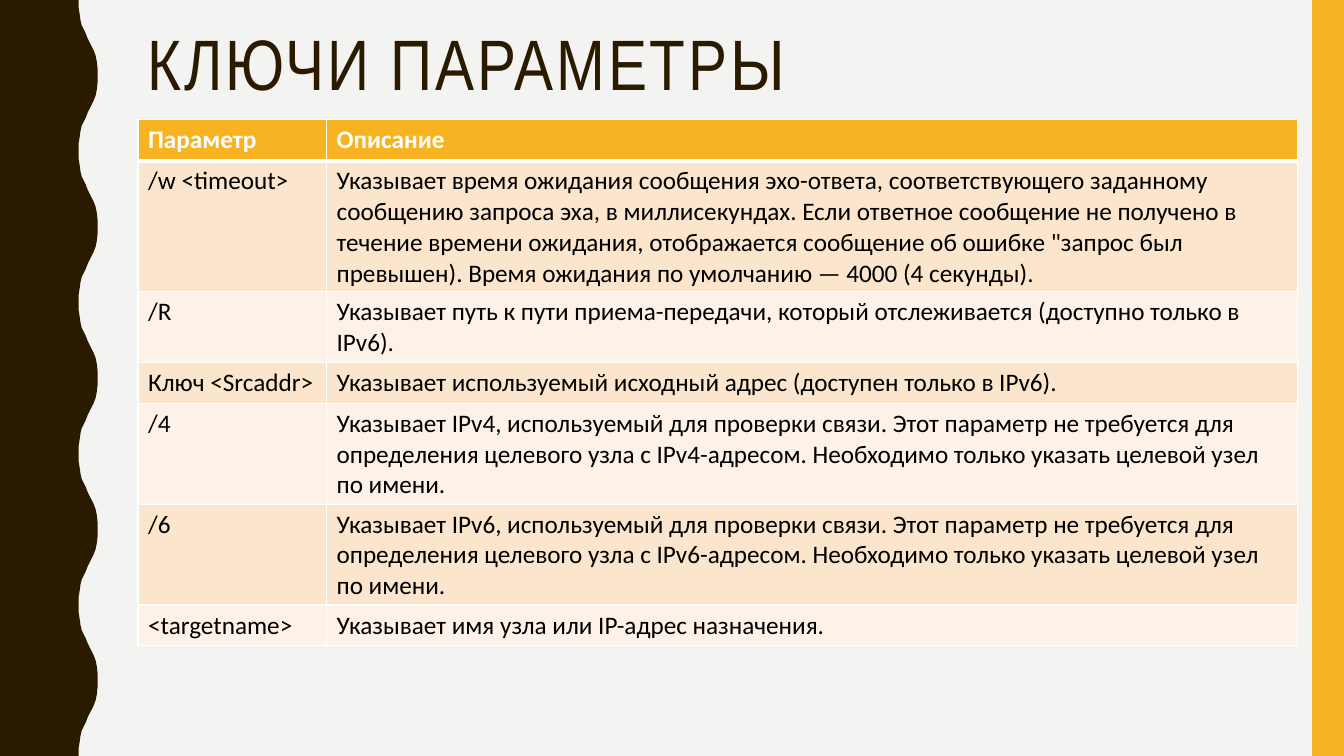
import lxml.etree
import pptx
import pptx.dml.color
import pptx.enum.shapes
import pptx.enum.text
import pptx.oxml.ns
import pptx.util

Cm = pptx.util.Cm
Pt = pptx.util.Pt
RGBColor = pptx.dml.color.RGBColor

PAPER = RGBColor(0xF3, 0xF3, 0xF2)
BROWN = RGBColor(0x2A, 0x1A, 0x00)
AMBER = RGBColor(0xF8, 0xB3, 0x23)
PEACH = RGBColor(0xFC, 0xE5, 0xCD)
CREAM = RGBColor(0xFE, 0xF2, 0xE8)
WHITE = RGBColor(0xFF, 0xFF, 0xFF)
BLACK = RGBColor(0x00, 0x00, 0x00)

WIDTH, HEIGHT = 33.87, 19.05
WAVE_COUNT = 5
WAVE_PERIOD = HEIGHT / WAVE_COUNT
HALF_WAVE = [
    (1.98, 0), (1.98, 0.18), (2.01, 0.36), (2.03, 0.51), (2.06, 0.64),
    (2.11, 0.74), (2.16, 0.84), (2.21, 0.97), (2.26, 1.07), (2.31, 1.17),
    (2.36, 1.27), (2.41, 1.4), (2.44, 1.55), (2.46, 1.73), (2.46, 1.9),
]

PROTOCOL_TEXT = (
    "Указывает {0}, используемый для проверки связи. Этот параметр не требуется "
    "для определения целевого узла с {0}-адресом. Необходимо только указать "
    "целевой узел по имени."
)
PARAMETERS = [
    ("Параметр", "Описание"),
    ("/w <timeout>",
     "Указывает время ожидания сообщения эхо-ответа, соответствующего заданному "
     "сообщению запроса эха, в миллисекундах. Если ответное сообщение не получено "
     "в течение времени ожидания, отображается сообщение об ошибке \"запрос был "
     "превышен). Время ожидания по умолчанию — 4000 (4 секунды)."),
    ("/R", "Указывает путь к пути приема-передачи, который отслеживается "
           "(доступно только в IPv6)."),
    ("Ключ <Srcaddr>",
     "Указывает используемый исходный адрес (доступен только в IPv6)."),
    ("/4", PROTOCOL_TEXT.format("IPv4")),
    ("/6", PROTOCOL_TEXT.format("IPv6")),
    ("<targetname>", "Указывает имя узла или IP-адрес назначения."),
]


class SlideBuilder:
    """Hold the slide style and draw each kind of element on the current slide."""

    title_font = "Arial Narrow"
    body_font = "Calibri"

    def __init__(self, page):
        self.page = page
        page.background.fill.solid()
        page.background.fill.fore_color.rgb = PAPER

    def paint(self, shape, color):
        shape.shadow.inherit = False
        shape.fill.solid()
        shape.fill.fore_color.rgb = color
        shape.line.fill.background()

    def set_font(self, paragraph, name, size, color, bold=False):
        font = paragraph.font
        font.name, font.size, font.bold = name, Pt(size), bold
        font.color.rgb = color

    def wavy_band(self, color):
        period = HALF_WAVE + [(x, WAVE_PERIOD - y) for x, y in HALF_WAVE[-2::-1]]
        edge = [(Cm(x), Cm(y + wave * WAVE_PERIOD))
                for wave in range(WAVE_COUNT) for x, y in period]
        outline = self.page.shapes.build_freeform(0, 0)
        outline.add_line_segments(edge + [(0, Cm(HEIGHT))], close=True)
        self.paint(outline.convert_to_shape(), color)

    def bar(self, left, width, color):
        bar = self.page.shapes.add_shape(
            pptx.enum.shapes.MSO_SHAPE.RECTANGLE,
            Cm(left), 0, Cm(width), Cm(HEIGHT))
        self.paint(bar, color)

    def title(self, text, left, top, width, height):
        box = self.page.shapes.add_textbox(Cm(left), Cm(top), Cm(width), Cm(height))
        box.text_frame.word_wrap = True
        box.text_frame.vertical_anchor = pptx.enum.text.MSO_ANCHOR.TOP
        para = box.text_frame.paragraphs[0]
        para.line_spacing = 0.9
        span = para.add_run()
        span.text = text
        self.set_font(para, self.title_font, 51, BROWN)
        span.font._element.set("spc", "200")

    def cell_borders(self, cell, bottom):
        properties = cell._tc.get_or_add_tcPr()
        for side, points in (("L", 1), ("R", 1), ("T", 1), ("B", bottom)):
            line = lxml.etree.SubElement(
                properties, pptx.oxml.ns.qn(f"a:ln{side}"), w=str(Pt(points)))
            fill = lxml.etree.SubElement(line, pptx.oxml.ns.qn("a:solidFill"))
            lxml.etree.SubElement(
                fill, pptx.oxml.ns.qn("a:srgbClr"), val=str(WHITE))

    def table(self, rows, left, top, column_widths, row_height):
        frame = self.page.shapes.add_table(
            len(rows), len(column_widths), Cm(left), Cm(top),
            Cm(sum(column_widths)), Cm(row_height * len(rows)))
        table = frame.table
        for column, width in zip(table.columns, column_widths):
            column.width = Cm(width)
        for row_index, texts in enumerate(rows):
            header = row_index == 0
            color = AMBER if header else (CREAM, PEACH)[row_index % 2]
            for column_index, text in enumerate(texts):
                cell = table.cell(row_index, column_index)
                self.cell_borders(cell, 3 if header else 1)
                cell.fill.solid()
                cell.fill.fore_color.rgb = color
                cell.text = text
                self.set_font(cell.text_frame.paragraphs[0], self.body_font, 18,
                              WHITE if header else BLACK, header)


def main():
    deck = pptx.Presentation()
    deck.slide_width, deck.slide_height = Cm(WIDTH), Cm(HEIGHT)
    builder = SlideBuilder(deck.slides.add_slide(deck.slide_layouts[6]))
    builder.wavy_band(BROWN)
    builder.bar(33.07, 0.8, AMBER)
    builder.title("КЛЮЧИ ПАРАМЕТРЫ", 3.48, 0.61, 28.27, 4.14)
    builder.table(PARAMETERS, 3.48, 3.02, (4.75, 24.46), 1.03)
    deck.save("out.pptx")


if __name__ == "__main__":
    main()
